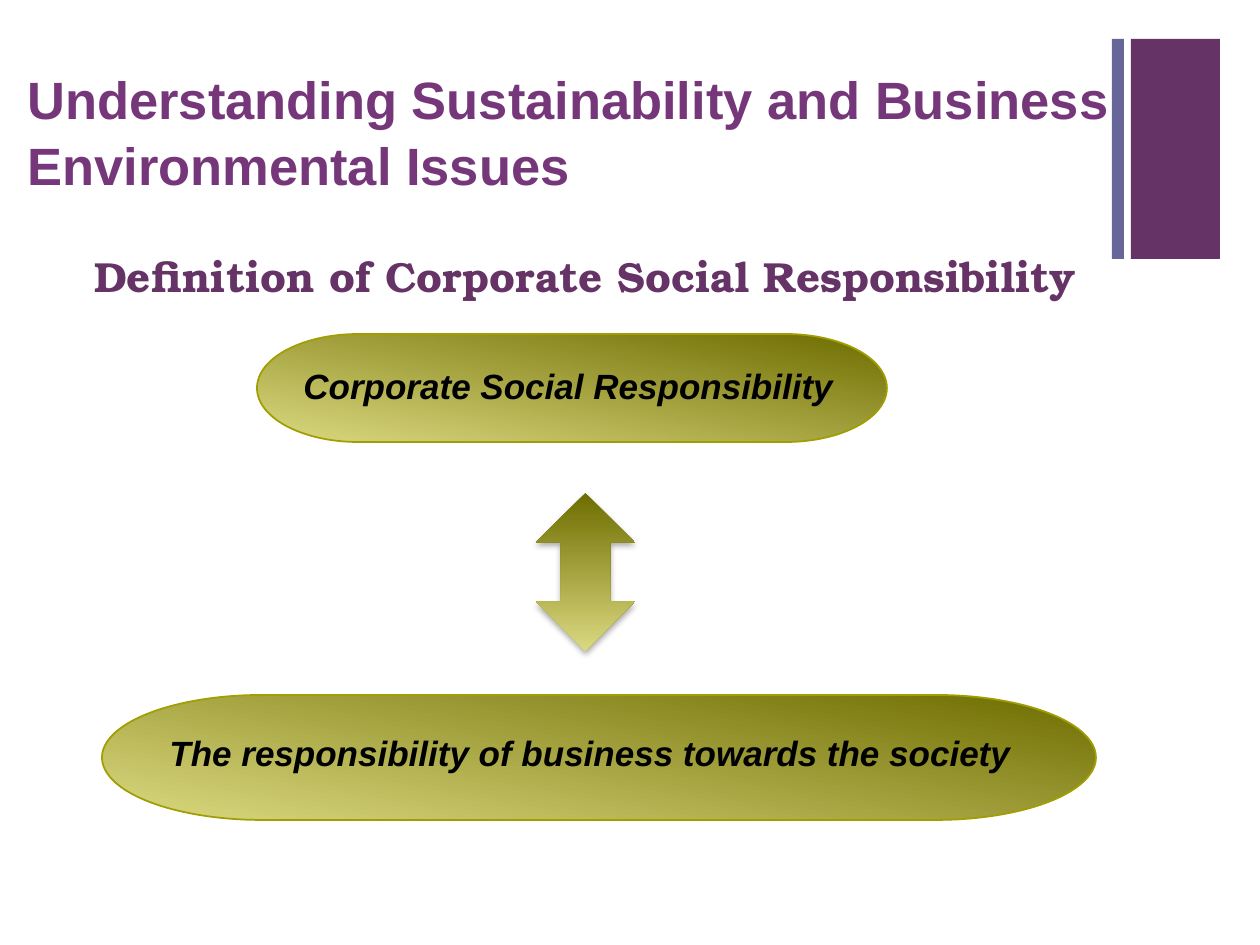
import pptx
import pptx.util
from pptx.dml.color import RGBColor
from pptx.enum.shapes import MSO_SHAPE
from pptx.enum.text import MSO_ANCHOR, PP_ALIGN
from lxml import etree

PX = 914400 // 126
PLUM = RGBColor(0x66, 0x33, 0x66)
SLATE = RGBColor(0x66, 0x66, 0x99)
PURPLE = RGBColor(0x75, 0x36, 0x7A)
OLIVE_DARK = RGBColor(0x6E, 0x6D, 0x00)
OLIVE_LIGHT = RGBColor(0xDB, 0xD9, 0x80)
OLIVE_LINE = RGBColor(0xA0, 0x9E, 0x00)
BLACK = RGBColor(0, 0, 0)
A = "http://schemas.openxmlformats.org/drawingml/2006/main"
SHADOW = f"""<a:effectLst xmlns:a="{A}">
<a:outerShdw blurRad="44450" dist="27940" dir="5400000" algn="ctr" rotWithShape="0">
<a:srgbClr val="000000"><a:alpha val="32000"/></a:srgbClr></a:outerShdw></a:effectLst>"""

prs = pptx.Presentation()
prs.slide_width = pptx.util.Inches(10)
prs.slide_height = pptx.util.Inches(7.5)
s = prs.slides.add_slide(prs.slide_layouts[6])


def add_shape(kind, box):
    sp = s.shapes.add_shape(kind, *(v * PX for v in box))
    sp.shadow.inherit = False
    sp.line.fill.background()
    return sp


# Corner bars
for box, color in [((1131, 39, 89, 220), PLUM), ((1112, 39, 12, 220), SLATE)]:
    sp = add_shape(MSO_SHAPE.RECTANGLE, box)
    sp.fill.solid()
    sp.fill.fore_color.rgb = color

# Olive pills and the arrow between them; gradient angles run counter-clockwise
for kind, box, angle in [
    (MSO_SHAPE.FLOWCHART_TERMINATOR, (257, 334, 630, 108), 260),
    (MSO_SHAPE.UP_DOWN_ARROW, (536, 493, 99, 158), 270),
    (MSO_SHAPE.FLOWCHART_TERMINATOR, (102, 695, 994, 125), 260),
]:
    sp = add_shape(kind, box)
    sp.fill.gradient()
    sp.fill.gradient_angle = angle
    for stop, color in zip(sp.fill.gradient_stops, (OLIVE_DARK, OLIVE_LIGHT)):
        stop.color.rgb = color
    if kind == MSO_SHAPE.UP_DOWN_ARROW:
        effects = sp._element.spPr.find(f"{{{A}}}effectLst")
        effects.getparent().replace(effects, etree.fromstring(SHADOW))
    else:
        sp.line.color.rgb = OLIVE_LINE
        sp.line.width = pptx.util.Pt(1)

# Texts
LABEL = {"name": "Arial", "size": pptx.util.Pt(20), "bold": True, "italic": True}
HEADING = {"name": "Arial", "size": pptx.util.Pt(30), "bold": True}
TITLE = {"name": "TeX Gyre Bonum", "size": pptx.util.Pt(24), "bold": True}
for text, box, fmt, color, align, anchor, spacing in [
    ("Understanding Sustainability and Business Environmental Issues",
     (15, 58, 1171, 159), HEADING, PURPLE, PP_ALIGN.LEFT, MSO_ANCHOR.TOP, 1.05),
    ("Definition of Corporate Social Responsibility",
     (74, 244, 1022, 79), TITLE, PLUM, PP_ALIGN.CENTER, MSO_ANCHOR.TOP, 1),
    ("Corporate Social Responsibility",
     (291, 358, 577, 55), LABEL, BLACK, PP_ALIGN.LEFT, MSO_ANCHOR.TOP, 1),
    ("The responsibility of business towards the society",
     (157, 725, 900, 55), LABEL, BLACK, PP_ALIGN.LEFT, MSO_ANCHOR.TOP, 1),
]:
    tf = s.shapes.add_textbox(*(v * PX for v in box)).text_frame
    tf.word_wrap = True
    tf.vertical_anchor = anchor
    p = tf.paragraphs[0]
    p.alignment = align
    p.line_spacing = spacing
    r = p.add_run()
    r.text = text
    r.font.color.rgb = color
    for name, value in fmt.items():
        setattr(r.font, name, value)

prs.save("out.pptx")
